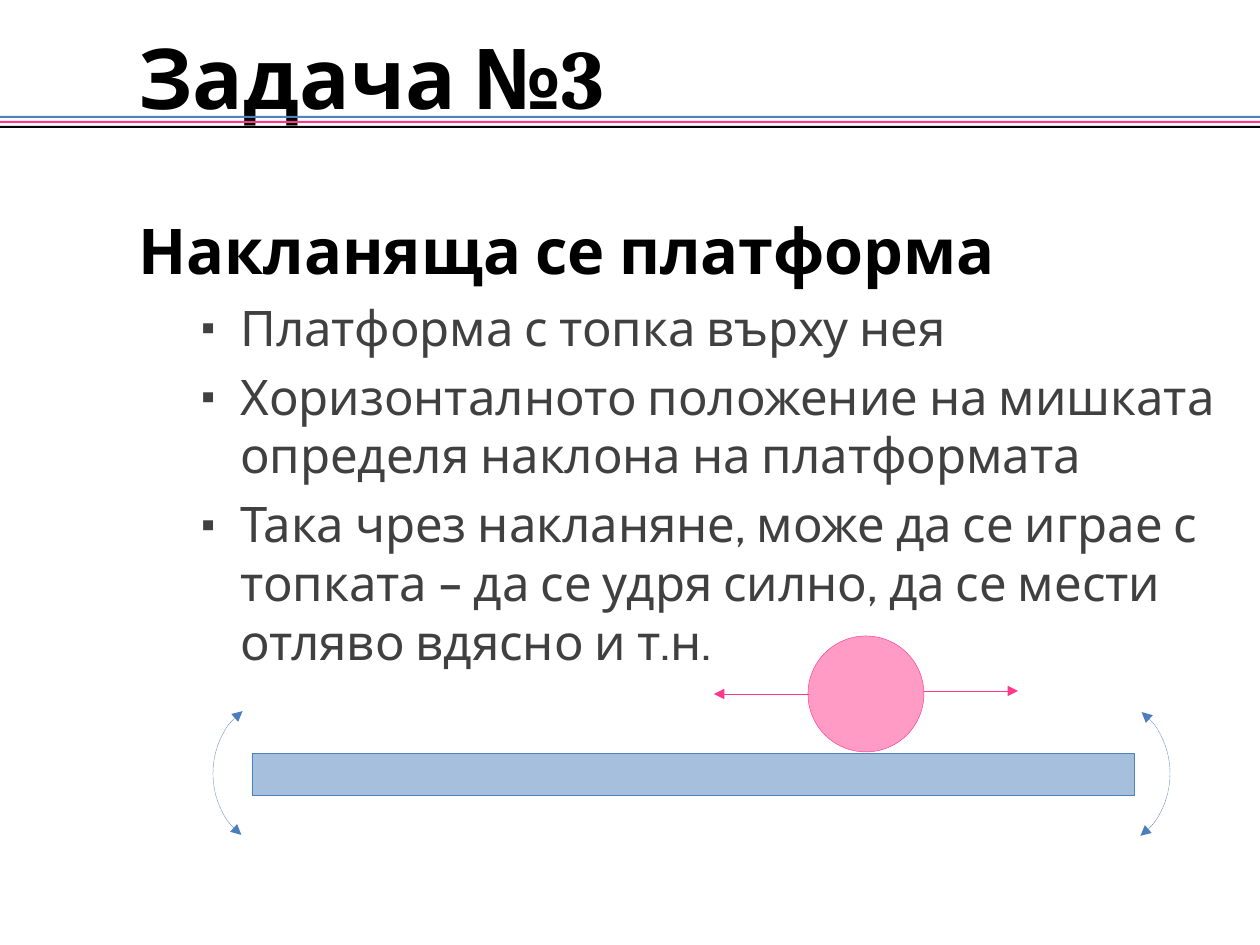
from dataclasses import dataclass

from lxml.etree import SubElement
from pptx import Presentation
from pptx.dml.color import RGBColor
from pptx.enum.dml import MSO_LINE
from pptx.enum.shapes import MSO_CONNECTOR, MSO_SHAPE as SHAPE
from pptx.enum.text import MSO_ANCHOR, MSO_AUTO_SIZE, PP_ALIGN as ALIGN
from pptx.oxml.ns import qn
from pptx.util import Emu, Pt


@dataclass(frozen=True)
class Theme:
    blue: str = "4F81BD"
    arc_blue: str = "4B7EBC"
    pink: str = "FF388C"
    black: str = "000000"
    grey: str = "404040"
    font: str = "Cabin"
    digit_font: str = "Cambria"
    title: int = 48
    heading: int = 36
    bullet: int = 28
    hairline: float = 0.25


class SlideBuilder:
    """Draws styled elements on one slide, measured in px at 126 to the inch."""

    def __init__(self, slide, theme):
        self.slide = slide
        self.theme = theme

    @staticmethod
    def px(*lengths):
        return [Emu(round(length * 914400 / 126)) for length in lengths]

    def style_run(self, run, size, color, font=None, bold=False):
        run.font.name = font or self.theme.font
        run.font.size = Pt(size)
        run.font.bold = bold
        run.font.color.rgb = RGBColor.from_string(color)

    def outline(self, line, color, dotted=False, ends=()):
        line.color.rgb = RGBColor.from_string(color)
        line.width = Pt(self.theme.hairline)
        if dotted:
            line.dash_style = MSO_LINE.ROUND_DOT
        for end in ends:
            SubElement(line._ln, qn(f"a:{end}"), type="triangle")

    def title(self, box, words, number):
        title = self.slide.shapes.title
        title.left, title.top, title.width, title.height = self.px(*box)
        frame = title.text_frame
        frame.auto_size = MSO_AUTO_SIZE.NONE
        frame.vertical_anchor = MSO_ANCHOR.MIDDLE
        heading = frame.paragraphs[0]
        heading.alignment = ALIGN.LEFT
        heading._p.get_or_add_pPr().set("marL", str(self.px(126)[0]))
        for text, font in ((words, self.theme.font), (number, self.theme.digit_font)):
            run = heading.add_run()
            run.text = text
            self.style_run(run, self.theme.title, self.theme.black, font, True)

    def body(self, box, heading, points):
        theme = self.theme
        frame = self.slide.shapes.add_textbox(*self.px(*box)).text_frame
        frame.word_wrap = True
        frame.text = "\n".join([heading, *points])
        first, *rest = frame.paragraphs
        first.line_spacing = 1.5
        first.space_before = Pt(theme.heading * 0.2)
        self.style_run(first.runs[0], theme.heading, theme.black, bold=True)
        for point in rest:
            point.level = 1
            point.space_before = Pt(theme.bullet * 0.2)
            self.style_run(point.runs[0], theme.bullet, theme.grey)
            self.bullet(point)

    def bullet(self, paragraph):
        properties = paragraph._p.get_or_add_pPr()
        margin, hang = self.px(102, 39)
        properties.set("marL", str(margin))
        properties.set("indent", str(-hang))
        color = SubElement(properties, qn("a:buClr"))
        SubElement(color, qn("a:srgbClr"), val=self.theme.grey)
        SubElement(properties, qn("a:buSzPct"), val="70000")
        SubElement(properties, qn("a:buFont"), typeface=self.theme.font)
        SubElement(properties, qn("a:buChar"), char="▪")

    def shape(self, kind, box, color, see_through=False):
        shape = self.slide.shapes.add_shape(kind, *self.px(*box))
        shape.shadow.inherit = False
        shape.fill.solid()
        shape.fill.fore_color.rgb = RGBColor.from_string(color)
        if see_through:
            tint = shape._element.spPr.find(qn("a:solidFill"))[0]
            SubElement(tint, qn("a:alpha"), val="50000")
            self.outline(shape.line, color)
        else:
            shape.line.fill.background()

    def swing(self, box, rotation=0):
        arc = self.slide.shapes.add_shape(SHAPE.ARC, *self.px(*box))
        arc.shadow.inherit = False
        arc.fill.background()
        arc.adjustments[0], arc.adjustments[1] = 71.62, 145.11
        arc.rotation = rotation
        self.outline(arc.line, self.theme.arc_blue, True, ("headEnd", "tailEnd"))

    def arrow(self, start, end):
        points = self.px(*start, *end)
        arrow = self.slide.shapes.add_connector(MSO_CONNECTOR.STRAIGHT, *points)
        self.outline(arrow.line, self.theme.pink, True, ("tailEnd",))
        SubElement(arrow._element.spPr, qn("a:effectLst"))


def main():
    deck = Presentation()
    deck.slide_width, deck.slide_height = SlideBuilder.px(1260, 945)
    theme = Theme()
    page = SlideBuilder(deck.slides.add_slide(deck.slide_layouts[5]), theme)

    for row, color in enumerate((theme.blue, theme.pink, theme.black)):
        page.shape(SHAPE.RECTANGLE, (0, 116 + 5 * row, 1260, 2), color)
    page.title((0, 31, 1260, 89), "Задача №", "3")
    page.body((126, 168, 1124, 766), "Накланяща се платформа", [
        "Платформа с топка върху нея",
        "Хоризонталното положение на мишката определя наклона на платформата",
        "Така чрез накланяне, може да се играе с топката – да се удря силно, "
        "да се мести отляво вдясно и т.н.",
    ])

    page.shape(SHAPE.RECTANGLE, (252, 753, 882, 42), theme.blue, True)
    page.shape(SHAPE.OVAL, (808, 636, 116, 116), theme.pink, True)
    page.swing((213, 700, 126, 147))
    page.swing((1044, 700, 126, 147), 180)
    page.arrow((924, 691), (1018, 691))
    page.arrow((808, 694), (714, 694))
    deck.save("out.pptx")


if __name__ == "__main__":
    main()
